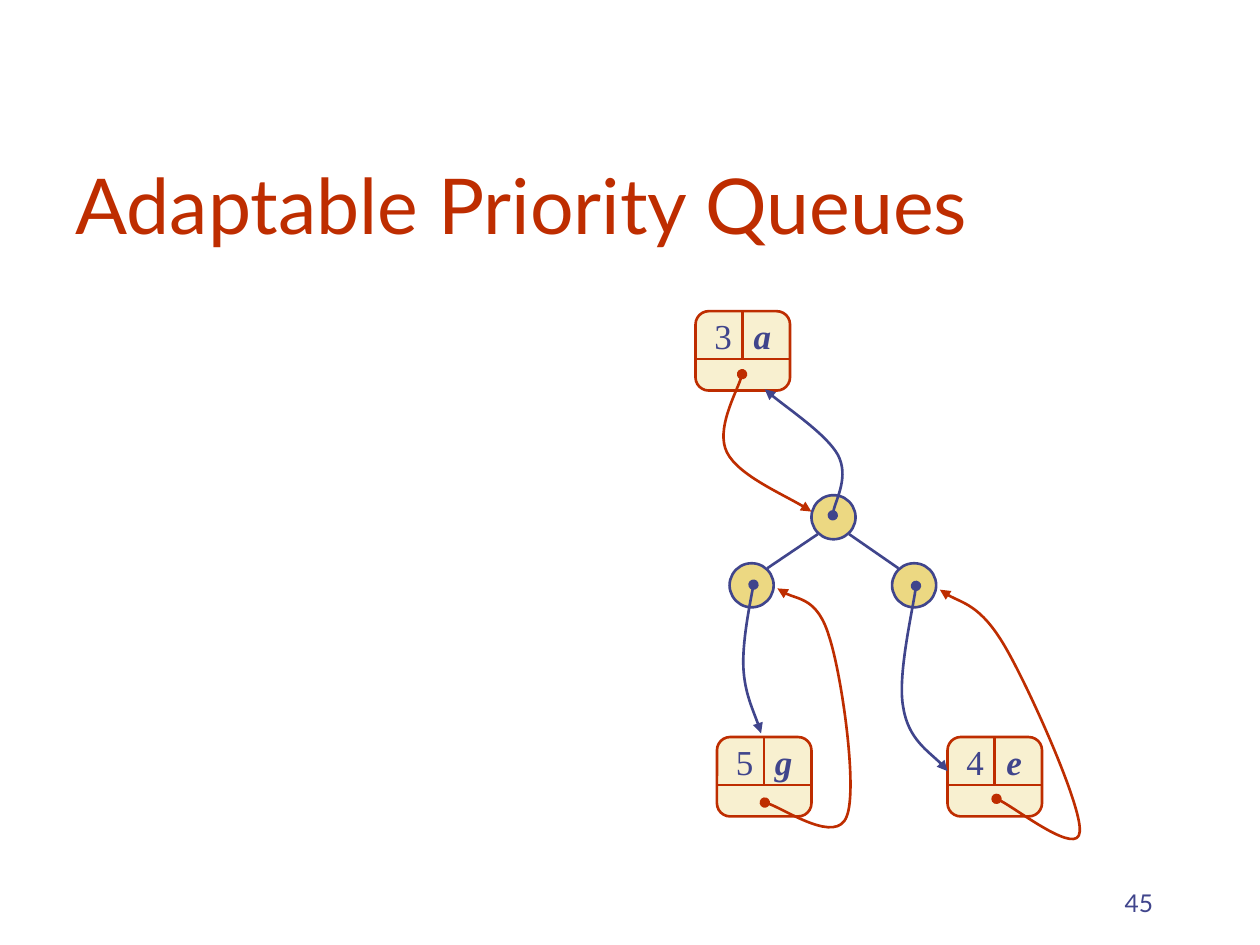
from dataclasses import dataclass

from lxml.etree import SubElement
from pptx import Presentation
from pptx.dml.color import RGBColor
from pptx.enum.shapes import MSO_CONNECTOR, MSO_SHAPE
from pptx.enum.text import MSO_ANCHOR, PP_ALIGN
from pptx.oxml.ns import qn
from pptx.util import Inches, Pt

RUST = "BE2D00"
INDIGO = "40458C"
GOLD = "ECD882"
CREAM = "F8F0D0"
NODE_SIZE = 0.35
ENTRY_WIDTH, ENTRY_HEIGHT, KEY_HEIGHT = 0.75, 0.63, 0.38


@dataclass
class Entry:
    """A key and value record with its top left corner."""
    left: float
    top: float
    key: str
    value: str


@dataclass
class Pointer:
    """A curved arrow: a start point, then three points for each Bezier piece."""
    color: str
    points: list[tuple[float, float]]


NODES = [(6.44, 3.93), (7.08, 4.47), (5.79, 4.47)]
EDGES = [(6.09, 4.51, 6.49, 4.24), (7.13, 4.51, 6.74, 4.24)]
ENTRIES = [
    Entry(5.52, 2.47, "3", "a"),
    Entry(5.69, 5.85, "5", "g"),
    Entry(7.52, 5.85, "4", "e"),
]
POINTERS = [
    Pointer(RUST, [(5.89, 2.97), (5.87, 3.07), (5.68, 3.41), (5.77, 3.59),
                   (5.86, 3.77), (6.3, 3.96), (6.44, 4.06)]),
    Pointer(RUST, [(6.07, 6.37), (6.18, 6.39), (6.64, 6.7), (6.72, 6.48),
                   (6.81, 6.26), (6.68, 5.35), (6.58, 5.05),
                   (6.49, 4.75), (6.26, 4.75), (6.17, 4.67)]),
    Pointer(RUST, [(7.91, 6.34), (8.02, 6.38), (8.56, 6.8), (8.57, 6.6),
                   (8.59, 6.4), (8.16, 5.44), (7.97, 5.12),
                   (7.78, 4.8), (7.57, 4.77), (7.46, 4.68)]),
    Pointer(INDIGO, [(6.61, 4.09), (6.61, 4.01), (6.74, 3.78), (6.65, 3.61),
                     (6.56, 3.45), (6.19, 3.2), (6.07, 3.09)]),
    Pointer(INDIGO, [(7.27, 4.65), (7.25, 4.82), (7.12, 5.38), (7.17, 5.62),
                     (7.21, 5.87), (7.45, 6.02), (7.52, 6.12)]),
    Pointer(INDIGO, [(5.98, 4.64), (5.96, 4.75), (5.89, 5.1), (5.9, 5.3),
                     (5.91, 5.5), (6.01, 5.71), (6.04, 5.82)]),
]


def rgb(color: str) -> RGBColor:
    """Turn a hex string into a colour."""
    return RGBColor.from_string(color)


def set_line(shape, color: str) -> None:
    """Give a shape or connector the common line width and a colour."""
    shape.line.color.rgb = rgb(color)
    shape.line.width = Pt(1.5)


def add_text(slide, text: str, left: float, top: float, width: float, height: float, *,
             size: float, font: str = "Lato", color: str = INDIGO, bold: bool = False,
             italic: bool = False, align=PP_ALIGN.LEFT, anchor=MSO_ANCHOR.BOTTOM,
             wrap: bool = True) -> None:
    """Add a one-paragraph text box."""
    shape = slide.shapes.add_textbox(Inches(left), Inches(top), Inches(width), Inches(height))
    frame = shape.text_frame
    frame.word_wrap = wrap
    frame.vertical_anchor = anchor
    paragraph = frame.paragraphs[0]
    paragraph.alignment = align
    run = paragraph.add_run()
    run.text = text
    run.font.name = font
    run.font.size = Pt(size)
    run.font.bold = bold
    run.font.italic = italic
    run.font.color.rgb = rgb(color)


def add_box(slide, kind, left: float, top: float, width: float, height: float,
            fill: str, line: str) -> None:
    """Add a filled, outlined preset shape."""
    shape = slide.shapes.add_shape(kind, Inches(left), Inches(top), Inches(width), Inches(height))
    shape.shadow.inherit = False
    shape.fill.solid()
    shape.fill.fore_color.rgb = rgb(fill)
    set_line(shape, line)


def add_segment(slide, x1: float, y1: float, x2: float, y2: float, color: str) -> None:
    """Add a straight line without a shadow."""
    connector = slide.shapes.add_connector(
        MSO_CONNECTOR.STRAIGHT, Inches(x1), Inches(y1), Inches(x2), Inches(y2))
    set_line(connector, color)
    SubElement(connector.element.spPr, qn("a:effectLst"))


def add_entry(slide, entry: Entry) -> None:
    """Draw a record divided into key, value and pointer cells."""
    left, top = entry.left, entry.top
    middle, divider = left + ENTRY_WIDTH / 2, top + KEY_HEIGHT
    add_box(slide, MSO_SHAPE.ROUNDED_RECTANGLE, left, top, ENTRY_WIDTH, ENTRY_HEIGHT, CREAM, RUST)
    add_segment(slide, left, divider, left + ENTRY_WIDTH, divider, RUST)
    add_segment(slide, middle, top, middle, divider, RUST)
    for text, offset, emphasis in ((entry.key, 0.05, False), (entry.value, 0.36, True)):
        add_text(slide, text, left + offset, top - 0.02, 0.34, 0.44, size=20,
                 font="Times New Roman", bold=emphasis, italic=emphasis,
                 align=PP_ALIGN.CENTER, anchor=MSO_ANCHOR.TOP, wrap=False)


def add_pointer(slide, pointer: Pointer) -> None:
    """Draw a Bezier arrow with a dot at its start."""
    start, *rest = [(Inches(x), Inches(y)) for x, y in pointer.points]
    builder = slide.shapes.build_freeform(*start)
    builder.add_line_segments(rest, close=False)
    shape = builder.convert_to_shape()
    shape.shadow.inherit = False
    shape.fill.background()
    set_line(shape, pointer.color)
    outline = next(shape.element.iter(qn("a:path")))
    segments = outline.findall(qn("a:lnTo"))
    for first in range(0, len(segments), 3):
        curve = SubElement(outline, qn("a:cubicBezTo"))
        for segment in segments[first:first + 3]:
            curve.append(segment[0])
            outline.remove(segment)
    line = shape.element.spPr.find(qn("a:ln"))
    SubElement(line, qn("a:headEnd"), type="oval")
    SubElement(line, qn("a:tailEnd"), type="triangle")


def main() -> None:
    """Build the slide and save it."""
    presentation = Presentation()
    presentation.slide_width, presentation.slide_height = Inches(10), Inches(7.5)
    slide = presentation.slides.add_slide(presentation.slide_layouts[6])
    add_text(slide, "Adaptable Priority Queues", 0.5, 0.78, 8.5, 1.25, size=44, color=RUST)
    add_text(slide, "45", 7.17, 6.83, 2.08, 0.5, size=14, align=PP_ALIGN.RIGHT)
    for edge in EDGES:
        add_segment(slide, *edge, INDIGO)
    for left, top in NODES:
        add_box(slide, MSO_SHAPE.OVAL, left, top, NODE_SIZE, NODE_SIZE, GOLD, INDIGO)
    for entry in ENTRIES:
        add_entry(slide, entry)
    for pointer in POINTERS:
        add_pointer(slide, pointer)
    presentation.save("out.pptx")


if __name__ == "__main__":
    main()
